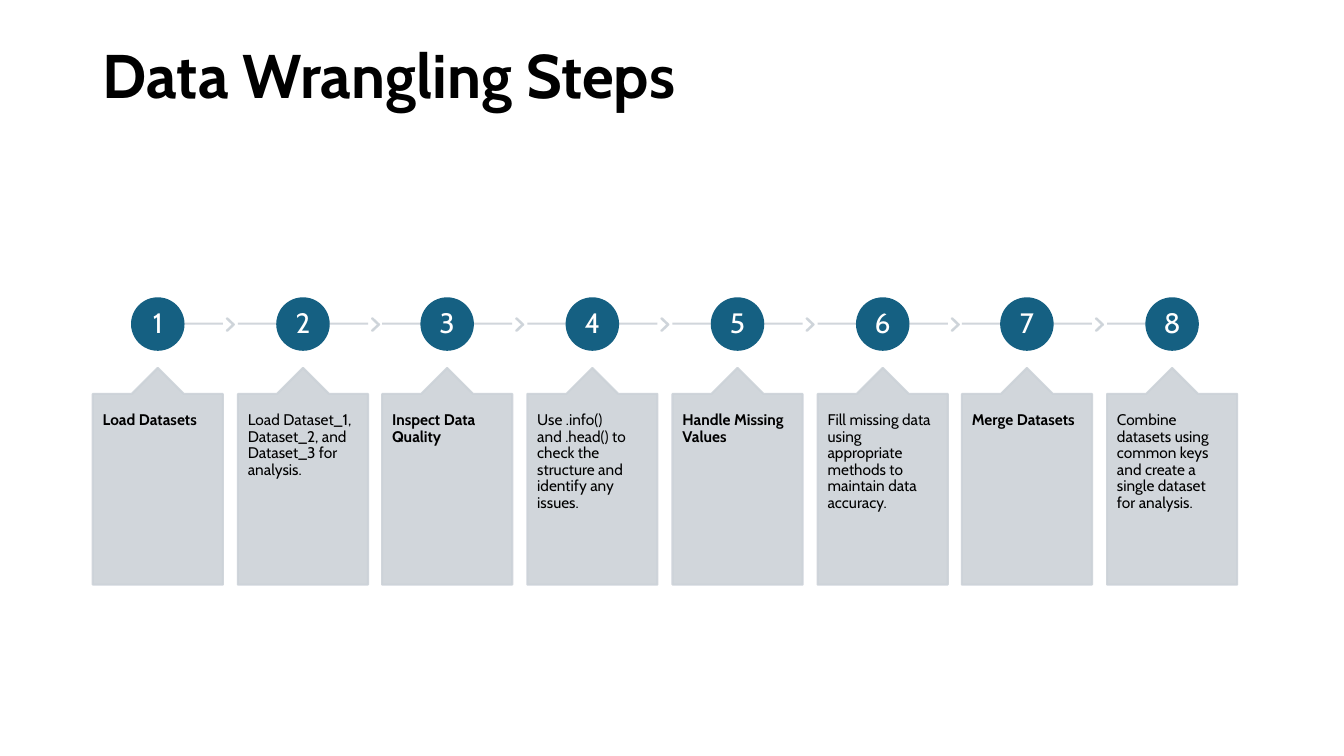
"""Build the Data Wrangling Steps slide: eight numbered callouts on a timeline."""
from lxml import etree
from pptx import Presentation
from pptx.dml.color import RGBColor
from pptx.enum.shapes import MSO_CONNECTOR, MSO_SHAPE
from pptx.enum.text import MSO_ANCHOR, MSO_AUTO_SIZE, PP_ALIGN
from pptx.oxml.ns import qn
from pptx.util import Pt

STRAIGHT = MSO_CONNECTOR.STRAIGHT
CHEVRON, CIRCLE, CALLOUT = MSO_SHAPE.CHEVRON, MSO_SHAPE.OVAL, MSO_SHAPE.UP_ARROW_CALLOUT
TOP, MIDDLE = MSO_ANCHOR.TOP, MSO_ANCHOR.MIDDLE
LEFT, CENTER = PP_ALIGN.LEFT, PP_ALIGN.CENTER
PX = 9144

THEME = {
    "font": "Cabin",
    "text": RGBColor.from_string("000000"),
    "number": RGBColor.from_string("FFFFFF"),
    "circle": RGBColor.from_string("156082"),
    "panel": RGBColor.from_string("CCD2D8"),
    "title_size": Pt(44),
    "number_size": Pt(20),
    "body_size": Pt(11),
    "line_width": Pt(1.5),
    "panel_alpha": "90000",
}
STEPS = [
    ("Load Datasets", True),
    ("Load Dataset_1, Dataset_2, and Dataset_3 for analysis.", False),
    ("Inspect Data Quality", True),
    ("Use .info() and .head() to check the structure and identify any issues.", False),
    ("Handle Missing Values", True),
    ("Fill missing data using appropriate methods to maintain data accuracy.", False),
    ("Merge Datasets", True),
    ("Combine datasets using common keys and create a single dataset for analysis.", False),
]
FIRST_LEFT, LAST_LEFT, CARD_WIDTH = 92, 1098, 129
LINE_Y = 321


def write_text(shape, text, size, color, bold, alignment, anchor, inset_x, inset_y):
    """Fill a shape with one formatted run."""
    frame = shape.text_frame
    frame.word_wrap = True
    frame.auto_size = MSO_AUTO_SIZE.NONE
    frame.vertical_anchor = anchor
    frame.margin_left = frame.margin_right = inset_x * PX
    frame.margin_top = frame.margin_bottom = inset_y * PX
    paragraph = frame.paragraphs[0]
    paragraph.alignment = alignment
    paragraph.line_spacing = 0.9
    run = paragraph.add_run()
    run.text = text
    run.font.name = THEME["font"]
    run.font.size = size
    run.font.bold = bold
    run.font.color.rgb = color


def add_step_shape(kind, left, top, width, height, color, adjustments=()):
    """Add a preset shape whose fill and line share one colour."""
    shape = slide.shapes.add_shape(kind, left * PX, top * PX, width * PX, height * PX)
    shape.shadow.inherit = False
    for index, value in enumerate(adjustments):
        shape.adjustments[index] = value
    shape.fill.solid()
    shape.fill.fore_color.rgb = color
    shape.line.color.rgb = color
    shape.line.width = THEME["line_width"]
    return shape


presentation = Presentation()
presentation.slide_width, presentation.slide_height = 1333 * PX, 750 * PX
slide = presentation.slides.add_slide(presentation.slide_layouts[5])

title = slide.shapes.title
title.left, title.top, title.width, title.height = 92 * PX, 40 * PX, 1150 * PX, 145 * PX
write_text(title, "Data Wrangling Steps", THEME["title_size"], THEME["text"], True,
           LEFT, TOP, 10, 5)

last = len(STEPS) - 1
for index, (text, bold) in enumerate(STEPS):
    left = FIRST_LEFT + round((LAST_LEFT - FIRST_LEFT) * index / last)
    center = left + CARD_WIDTH // 2
    line_start = center + 8 if index == 0 else left
    line_end = center if index == last else left + CARD_WIDTH

    connector = slide.shapes.add_connector(
        STRAIGHT, line_start * PX, LINE_Y * PX, line_end * PX, LINE_Y * PX)
    connector.line.color.rgb = THEME["panel"]
    connector.line.width = THEME["line_width"]
    etree.SubElement(connector._element.spPr, qn("a:effectLst"))
    translucent = [connector]

    if index < last:
        translucent.append(add_step_shape(
            CHEVRON, left + 133, 316, 7, 12, THEME["panel"], [0.9]))

    circle = add_step_shape(CIRCLE, left + 39, 296, 51, 51, THEME["circle"])
    write_text(circle, str(index + 1), THEME["number_size"], THEME["number"], False,
               CENTER, MIDDLE, 2, 2)

    callout = add_step_shape(CALLOUT, left, 365, CARD_WIDTH, 215, THEME["panel"],
                             [0.5, 0.2, 0.2, 1])
    write_text(callout, text, THEME["body_size"], THEME["text"], bold, LEFT, TOP, 10, 18)
    translucent.append(callout)

    for shape in translucent:
        for color in shape._element.spPr.iter(qn("a:srgbClr")):
            etree.SubElement(color, qn("a:alpha")).set("val", THEME["panel_alpha"])

presentation.save("out.pptx")
